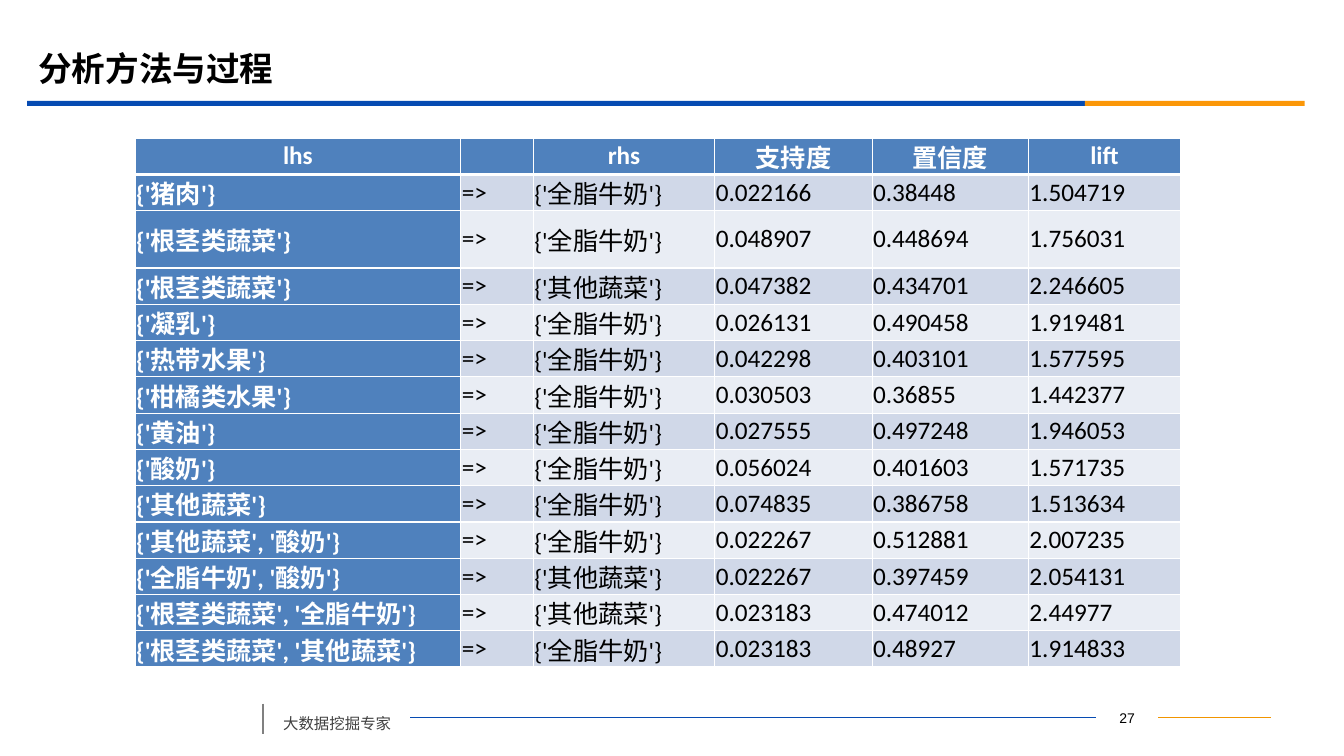
from lxml import etree
from pptx import Presentation
from pptx.dml.color import RGBColor
from pptx.enum import shapes, text
from pptx.oxml.ns import qn
from pptx.util import Inches, Pt

# Content
TITLE = "分析方法与过程"
FOOTER = "大数据挖掘专家"
PAGE = "27"
HEAD = ["lhs", "", "rhs", "支持度", "置信度", "lift"]
MILK, VEG = "{'全脂牛奶'}", "{'其他蔬菜'}"
RULES = [
    ("{'猪肉'}", MILK, "0.022166", "0.38448", "1.504719"),
    ("{'根茎类蔬菜'}", MILK, "0.048907", "0.448694", "1.756031"),
    ("{'根茎类蔬菜'}", VEG, "0.047382", "0.434701", "2.246605"),
    ("{'凝乳'}", MILK, "0.026131", "0.490458", "1.919481"),
    ("{'热带水果'}", MILK, "0.042298", "0.403101", "1.577595"),
    ("{'柑橘类水果'}", MILK, "0.030503", "0.36855", "1.442377"),
    ("{'黄油'}", MILK, "0.027555", "0.497248", "1.946053"),
    ("{'酸奶'}", MILK, "0.056024", "0.401603", "1.571735"),
    ("{'其他蔬菜'}", MILK, "0.074835", "0.386758", "1.513634"),
    ("{'其他蔬菜', '酸奶'}", MILK, "0.022267", "0.512881", "2.007235"),
    ("{'全脂牛奶', '酸奶'}", VEG, "0.022267", "0.397459", "2.054131"),
    ("{'根茎类蔬菜', '全脂牛奶'}", VEG, "0.023183", "0.474012", "2.44977"),
    ("{'根茎类蔬菜', '其他蔬菜'}", MILK, "0.023183", "0.48927", "1.914833"),
]
WIDTHS = [3.23, 0.72, 1.8, 1.56, 1.55, 1.51]
ROW, TALL, TALL_ROW = 0.36, 0.57, 2
BARS = [(0.27, 10.49, "064BB2"), (10.76, 2.18, "FB9708")]
LINES = [
    (11.49, 7.12, 12.61, 7.12, "F19500", 0.75),
    (4.07, 7.12, 10.87, 7.12, "064BB2", 0.75),
    (2.61, 6.98, 2.61, 7.28, "808080", 1.25),
]
SANS = "Noto Sans CJK SC"
ALIGN = text.PP_ALIGN


def paint(target, color):
    """Give a fill a solid colour."""
    target.solid()
    target.fore_color.rgb = RGBColor.from_string(color)


def write(frame, words, size, face, color, bold=False, align=ALIGN.LEFT):
    frame.text = words
    para = frame.paragraphs[0]
    para.alignment = align
    font = para.font
    font.size, font.name, font.bold = Pt(size), face, bold
    paint(font.fill, color)
    return para


def label(box, *style, **more):
    shape = slide.shapes.add_textbox(*map(Inches, box))
    shape.text_frame.word_wrap = True
    return write(shape.text_frame, *style, **more)


def edge(cell, low):
    """White cell borders; low is the width of the bottom one."""
    props = cell._tc.get_or_add_tcPr()
    for i, (tag, wide) in enumerate(
            [("a:lnL", 1), ("a:lnR", 1), ("a:lnT", 1), ("a:lnB", low)]):
        line = etree.Element(qn(tag), w=str(Pt(wide)))
        fill = etree.SubElement(line, qn("a:solidFill"))
        etree.SubElement(fill, qn("a:srgbClr"), val="FFFFFF")
        props.insert(i, line)


deck = Presentation()
deck.slide_width, deck.slide_height = Inches(13.33), Inches(7.5)
slide = deck.slides.add_slide(deck.slide_layouts[5])

# Title and the bars below it
head = slide.shapes.title
head.left, head.top, head.width, head.height = map(Inches, (0.28, 0.39, 12, 0.58))
write(head.text_frame, TITLE, 24, SANS, "000000", bold=True)
head.text_frame.vertical_anchor = text.MSO_ANCHOR.MIDDLE
for left, wide, color in BARS:
    bar = slide.shapes.add_shape(
        shapes.MSO_SHAPE.RECTANGLE, *map(Inches, (left, 1, wide, 0.05)))
    bar.shadow.inherit = False
    paint(bar.fill, color)
    bar.line.fill.background()

# Footer
for *ends, color, wide in LINES:
    rule = slide.shapes.add_connector(
        shapes.MSO_CONNECTOR.STRAIGHT, *map(Inches, ends))
    paint(rule.line.fill, color)
    rule.line.width = Pt(wide)
    etree.SubElement(rule._element.spPr, qn("a:effectLst"))
note = label((2.71, 6.94, 1.36, 0.38), FOOTER, 11, SANS, "404040")
note.line_spacing, note.space_before = 1.5, Pt(6)
label((10.87, 6.99, 0.62, 0.25), PAGE, 10, "Arial", "000000", align=ALIGN.CENTER)

# Table of rules
rows = [HEAD] + [(lhs, "=>", *rest) for lhs, *rest in RULES]
highs = [TALL if r == TALL_ROW else ROW for r in range(len(rows))]
grid = slide.shapes.add_table(
    len(rows), len(WIDTHS),
    *map(Inches, (1.34, 1.37, sum(WIDTHS), sum(highs)))).table
for col, wide in zip(grid.columns, WIDTHS):
    col.width = Inches(wide)
for r, (row, high) in enumerate(zip(rows, highs)):
    grid.rows[r].height = Inches(high)
    for c, words in enumerate(row):
        cell = grid.cell(r, c)
        cell.margin_left = cell.margin_right = Inches(0.01)
        cell.margin_top = cell.margin_bottom = 0
        cell.vertical_anchor = text.MSO_ANCHOR.MIDDLE
        key = r == 0 or c == 0
        band = "D0D8E8" if r % 2 else "E9EDF4"
        paint(cell.fill, "4F81BD" if key else band)
        edge(cell, 1 if r else 3)
        write(cell.text_frame, words, 18, "Calibri",
              "FFFFFF" if key else "000000", bold=key,
              align=ALIGN.JUSTIFY if r else ALIGN.CENTER)

deck.save("out.pptx")
